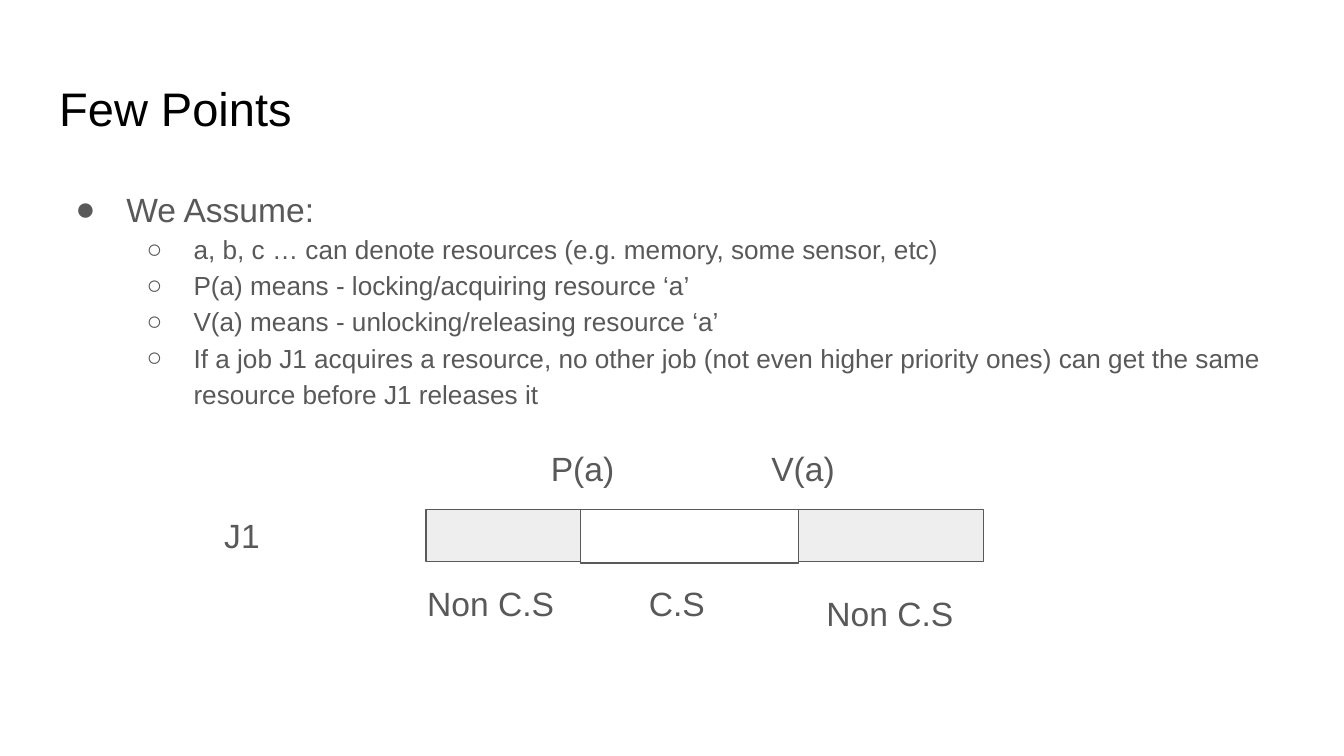
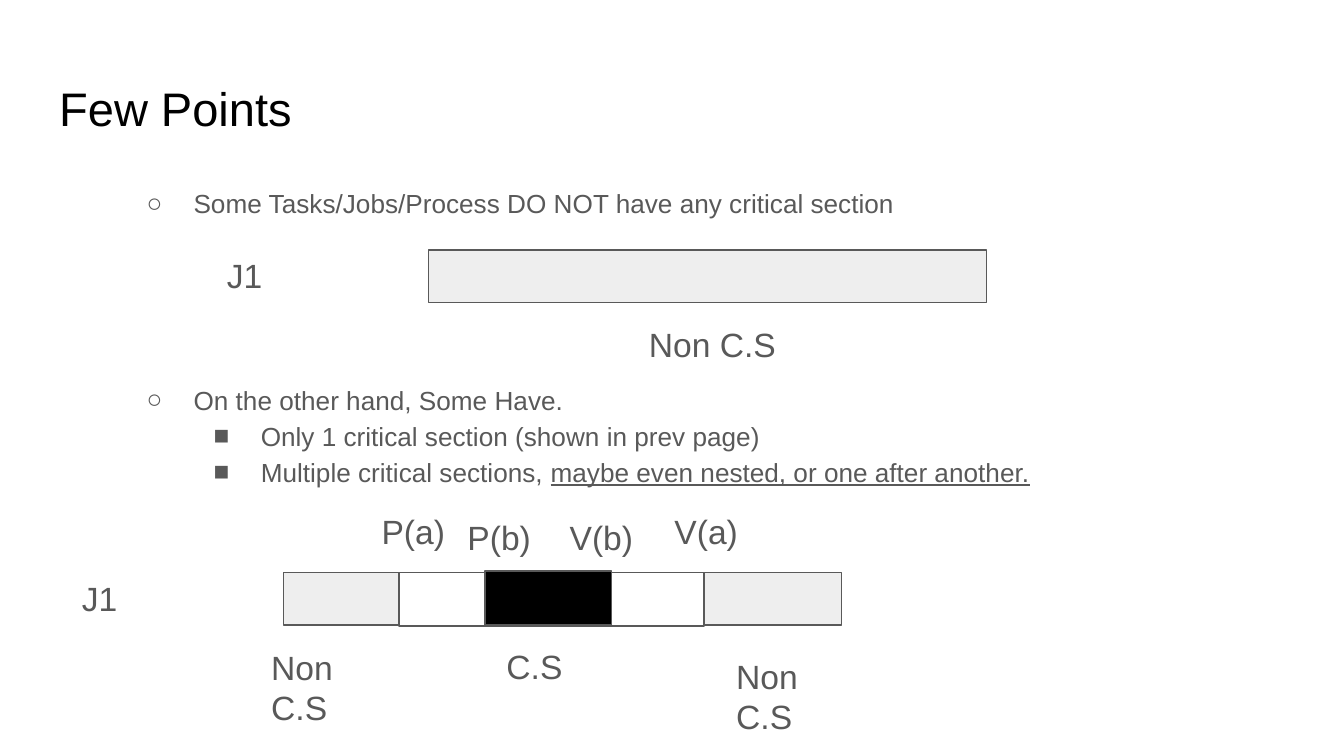
from lxml import etree
from pptx import Presentation, util as u
from pptx.dml.color import RGBColor
from pptx.enum import shapes as kinds, text as t
from pptx.oxml import ns

PX = 9144  # 100 px to the inch
FONT = "Arial"
COLOURS = {"title": "000000", "body": "595959", "outside": "EEEEEE",
           "critical": "FFFFFF", "nested": "000000"}
# level: (bullet, left margin, hanging indent)
BULLETS = {0: ("●", 50, 38), 1: ("○", 100, 35), 2: ("■", 150, 35)}
BAR_WIDTH, BAR_HEIGHT = 415, 39
LABEL_HEIGHT = 50
LOCK_WIDTH = 75


def px(length):
    return u.Emu(length * PX)


def colour(name):
    return RGBColor.from_string(COLOURS[name])


def set_font(paragraph, size, name):
    for run in paragraph.runs:
        run.font.name = FONT
        run.font.size = u.Pt(size)
        run.font.color.rgb = colour(name)


def set_frame(frame, auto_size):
    frame.word_wrap = True
    frame.auto_size = auto_size
    frame.vertical_anchor = t.MSO_ANCHOR.TOP
    frame.margin_left = frame.margin_right = px(10)
    frame.margin_top = frame.margin_bottom = px(10)


def place(part, left, top, width, height):
    part.left, part.top, part.width, part.height = map(
        px, (left, top, width, height))


def set_bullet(paragraph, level):
    char, margin, hanging = BULLETS[level]
    props = paragraph._p.get_or_add_pPr()
    props.set("marL", str(px(margin)))
    props.set("indent", str(px(-hanging)))
    bullet_colour = etree.SubElement(props, ns.qn("a:buClr"))
    etree.SubElement(bullet_colour, ns.qn("a:srgbClr"), val=COLOURS["body"])
    etree.SubElement(props, ns.qn("a:buFont"), typeface=FONT)
    etree.SubElement(props, ns.qn("a:buChar"), char=char)


def add_points_slide(deck, points, body_height):
    """Add a titled slide; each point is (level, size, space before, runs)."""
    slide = deck.slides.add_slide(deck.slide_layouts[1])
    title, body = slide.placeholders
    place(title, 34, 49, 932, 63)
    set_frame(title.text_frame, t.MSO_AUTO_SIZE.NONE)
    title.text_frame.text = "Few Points"
    heading = title.text_frame.paragraphs[0]
    heading.alignment = t.PP_ALIGN.LEFT
    set_font(heading, 25.2, "title")

    place(body, 34, 126, 932, body_height)
    frame = body.text_frame
    set_frame(frame, t.MSO_AUTO_SIZE.NONE)
    for index, (level, size, before, texts) in enumerate(points):
        paragraph = frame.add_paragraph() if index else frame.paragraphs[0]
        paragraph.level = level
        paragraph.line_spacing = 1.15
        paragraph.space_before = u.Pt(before)
        for words in texts:
            paragraph.add_run().text = words
        set_font(paragraph, size, "body")
        set_bullet(paragraph, level)
    return slide


def add_section(shapes, left, top, width, height, fill):
    section = shapes.add_shape(kinds.MSO_SHAPE.RECTANGLE,
                               *map(px, (left, top, width, height)))
    section.shadow.inherit = False
    section.fill.solid()
    section.fill.fore_color.rgb = colour(fill)
    section.line.color.rgb = colour("body")
    section.line.width = u.Pt(0.75)


def add_label(shapes, left, top, width, words):
    height = LABEL_HEIGHT
    if words == "Non C.S" and width < 114:  # wraps onto a second line
        height += 31
    label = shapes.add_textbox(*map(px, (left, top, width, height)))
    set_frame(label.text_frame, t.MSO_AUTO_SIZE.SHAPE_TO_FIT_TEXT)
    label.text_frame.text = words
    set_font(label.text_frame.paragraphs[0], 18, "body")


def add_timeline(shapes, left, top, captions, critical=None, locks=()):
    """Draw the bar of job J1; critical, locks and captions count from its corner."""
    add_section(shapes, left, top, BAR_WIDTH, BAR_HEIGHT, "outside")
    if critical:
        start, width = critical
        add_section(shapes, left + start, top, width, BAR_HEIGHT + 1, "critical")
    add_label(shapes, left - 160, top - 6, 65, "J1")
    for start, words in locks:
        add_label(shapes, left + start, top - 56, LOCK_WIDTH, words)
    for start, drop, width, words in captions:
        add_label(shapes, left + start, top + drop, width, words)


def add_nested_section(shapes, left, top):
    add_section(shapes, left, top, 94, BAR_HEIGHT + 1, "nested")
    for start, words in ((-23, "P(b)"), (53, "V(b)")):
        add_label(shapes, left + start, top - 50, LOCK_WIDTH, words)


def build_assumptions(deck):
    slide = add_points_slide(deck, [
        (0, 18, 0, ["We Assume:"]),
        (1, 14, 0, ["a, b, c … can denote resources (e.g. memory, some sensor, etc)"]),
        (1, 14, 0, ["P(a) means - locking/acquiring resource ‘a’"]),
        (1, 14, 0, ["V(a) means - unlocking/releasing resource ‘a’"]),
        (1, 14, 0, ["If a job J1 acquires a resource, no other job (not even higher "
                    "priority ones) can get the same resource before J1 releases it"]),
    ], 374)
    add_timeline(slide.shapes, 317, 379,
                 captions=[(-9, 45, 128, "Non C.S"), (288, 52, 128, "Non C.S"),
                           (156, 45, 93, "C.S")],
                 critical=(115, 162), locks=[(83, "P(a)"), (247, "V(a)")])


def build_section_kinds(deck):
    slide = add_points_slide(deck, [
        (1, 14, 0, ["Some Tasks/Jobs/Process DO NOT have any critical section"]),
        (1, 14, 86, ["On the other hand, Some Have."]),
        (2, 14, 0, ["Only 1 critical section (shown in prev page)"]),
        (2, 14, 0, ["Multiple critical sections, ",
                    "maybe even nested, or one after another."]),
    ], 378)
    last_point = slide.placeholders[1].text_frame.paragraphs[-1]
    last_point.runs[-1].font.underline = True

    add_timeline(slide.shapes.add_group_shape().shapes, 319, 186,
                 captions=[(154, 45, 128, "Non C.S")])
    add_timeline(slide.shapes.add_group_shape().shapes, 211, 426,
                 captions=[(-19, 45, 106, "Non C.S"), (327, 52, 87, "Non C.S"),
                           (156, 45, 93, "C.S")],
                 critical=(86, 227), locks=[(63, "P(a)"), (281, "V(a)")])
    add_nested_section(slide.shapes, 361, 425)


def main():
    deck = Presentation()
    deck.slide_width = px(1000)
    deck.slide_height = deck.slide_width * 9 // 16
    build_assumptions(deck)
    build_section_kinds(deck)
    deck.save("out.pptx")


if __name__ == "__main__":
    main()
